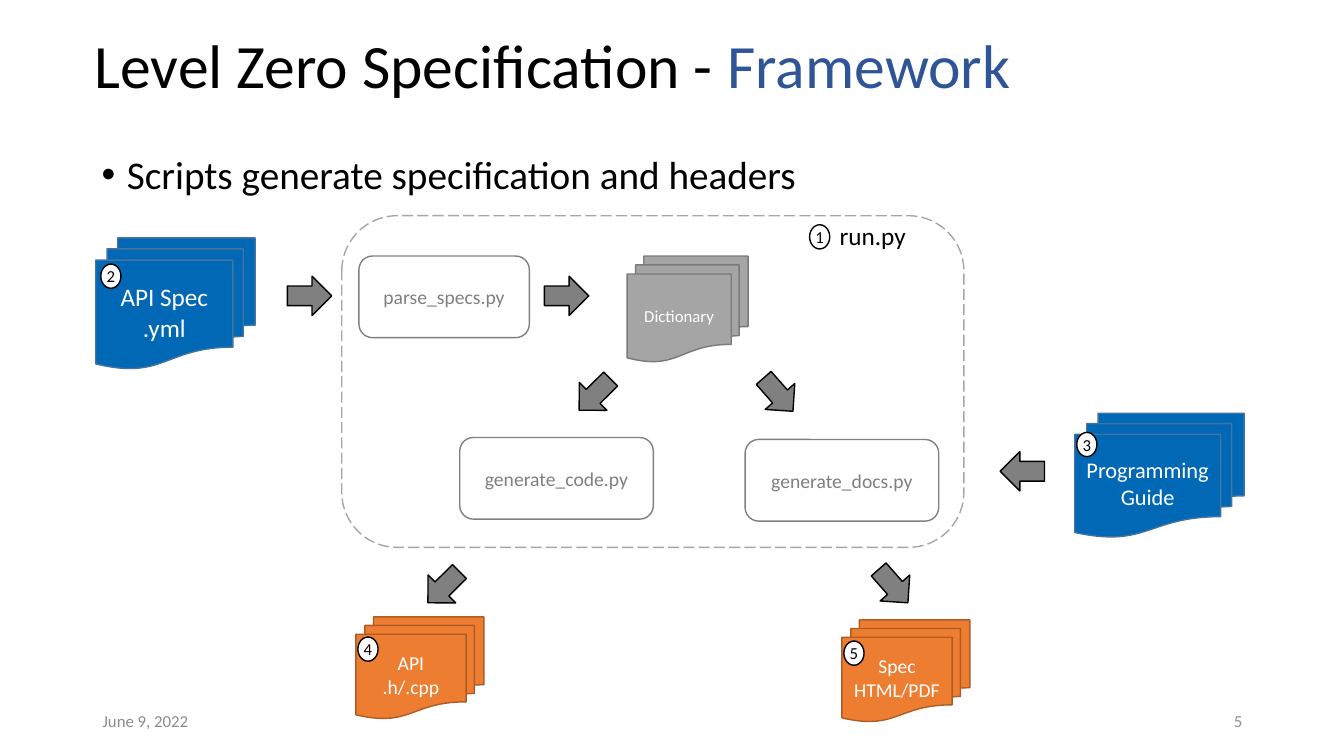
from pptx import Presentation
from pptx import util as u
from pptx.dml.color import RGBColor
from pptx.enum import dml, shapes, text
from pptx.oxml import parse_xml
from pptx.oxml.ns import nsdecls

SHAPE = shapes.MSO_SHAPE
ALIGN = text.PP_ALIGN
COLORS = {
    "black": "000000", "white": "FFFFFF", "accent": "2F5597", "footer": "8C8C8C",
    "gray": "808080", "frame": "A6A6A6",
    "dictionary": "A5A5A5", "dictionary_line": "7A7A7A",
    "input": "0068B5", "input_line": "43739E",
    "output": "ED7D31", "output_line": "AF5C24",
}


class FrameworkSlide:
    """Holds the style and the current slide, and draws each kind of element."""

    font = "Calibri"

    def __init__(self, presentation):
        self.slide = presentation.slides.add_slide(presentation.slide_layouts[6])

    def color(self, name):
        return RGBColor.from_string(COLORS[name])

    def style_run(self, run, size, color):
        run.font.name = self.font
        run.font.size = u.Pt(size)
        run.font.color.rgb = self.color(color)

    def set_text(self, shape, content, size, color, align=ALIGN.CENTER,
                 anchor=text.MSO_ANCHOR.MIDDLE, wrap=True):
        frame = shape.text_frame
        frame.text = content
        frame.word_wrap = wrap
        frame.vertical_anchor = anchor
        for paragraph in frame.paragraphs:
            paragraph.alignment = align
            for run in paragraph.runs:
                self.style_run(run, size, color)
        return frame

    def label(self, box, content, size, color="black", align=ALIGN.LEFT,
              anchor=text.MSO_ANCHOR.MIDDLE, wrap=True):
        shape = self.slide.shapes.add_textbox(*map(u.Inches, box))
        return self.set_text(shape, content, size, color, align, anchor, wrap)

    def title(self, content, highlight):
        paragraph = self.label((0.84, 0.25, 11.5, 0.86), content, 44).paragraphs[0]
        paragraph.line_spacing = 0.9
        run = paragraph.add_run()
        run.text = highlight
        self.style_run(run, 44, "accent")

    def bullet(self, content):
        frame = self.label((0.91, 1.49, 11.5, 5.07), content, 28,
                           anchor=text.MSO_ANCHOR.TOP)
        paragraph = frame.paragraphs[0]
        paragraph.line_spacing = 0.9
        paragraph.space_before = u.Pt(10)
        properties = paragraph._p.get_or_add_pPr()
        properties.set("marL", str(u.Inches(0.25)))
        properties.set("indent", str(-u.Inches(0.25)))
        for xml in ('<a:buFont %s typeface="Arial"/>', '<a:buChar %s char="•"/>'):
            properties.append(parse_xml(xml % nsdecls("a")))

    def shape(self, kind, box, line, fill=None):
        shape = self.slide.shapes.add_shape(kind, *map(u.Inches, box))
        shape.shadow.inherit = False
        shape.line.color.rgb = self.color(line)
        shape.line.width = u.Pt(1)
        if fill:
            shape.fill.solid()
            shape.fill.fore_color.rgb = self.color(fill)
        else:
            shape.fill.background()
        return shape

    def container(self, box):
        shape = self.shape(SHAPE.ROUNDED_RECTANGLE, box, "frame")
        shape.line.dash_style = dml.MSO_LINE.LONG_DASH

    def script(self, left, top, width, name):
        box = (left, top, width, 0.81)
        shape = self.shape(SHAPE.ROUNDED_RECTANGLE, box, "gray")
        self.set_text(shape, name, 14, "gray")

    def documents(self, box, content, size, style):
        shape = self.shape(SHAPE.FLOWCHART_MULTIDOCUMENT, box, style + "_line", style)
        frame = self.set_text(shape, content, size, "white")
        frame.margin_left = frame.margin_right = u.Inches(0.05)

    def arrow(self, left, top, rotation):
        shape = self.shape(SHAPE.RIGHT_ARROW, (left, top, 0.44, 0.39), "black", "gray")
        shape.rotation = rotation

    def badge(self, number, left, top):
        shape = self.shape(SHAPE.OVAL, (left, top, 0.2, 0.24), "black", "white")
        frame = self.set_text(shape, str(number), 12, "black", wrap=False)
        frame.margin_left = frame.margin_right = 0
        frame.margin_top = frame.margin_bottom = 0


def main():
    presentation = Presentation()
    presentation.slide_width = u.Inches(13.33)
    presentation.slide_height = u.Inches(7.5)
    slide = FrameworkSlide(presentation)

    slide.title("Level Zero Specification - ", "Framework")
    slide.bullet("Scripts generate specification and headers")
    slide.label((0.92, 6.95, 3, 0.4), "June 9, 2022", 12, "footer")
    slide.label((9.42, 6.95, 3, 0.4), "5", 12, "footer", ALIGN.RIGHT)

    slide.container((3.39, 2.14, 6.17, 3.29))
    slide.label((8.23, 2.14, 0.87, 0.4), "run.py", 18,
                anchor=text.MSO_ANCHOR.TOP, wrap=False)

    for left, top, width, name in (
        (3.56, 2.54, 1.69, "parse_specs.py"),
        (4.56, 4.34, 1.92, "generate_code.py"),
        (7.39, 4.36, 1.92, "generate_docs.py"),
    ):
        slide.script(left, top, width, name)

    right, down_right, down_left, left_turn = 0, 48.8, 135.3, 180
    for left, top, rotation in (
        (2.85, 2.74, right), (5.4, 2.74, right),
        (5.68, 3.72, down_left), (7.5, 3.72, down_right),
        (4.18, 5.63, down_left), (8.64, 5.62, down_right),
        (9.92, 4.48, left_turn),
    ):
        slide.arrow(left, top, rotation)

    for box, content, size, style in (
        ((6.22, 2.54, 1.2, 1.05), "Dictionary", 12, "dictionary"),
        ((0.95, 2.36, 1.58, 1.3), "API Spec\n.yml", 18, "input"),
        ((10.66, 4.1, 1.68, 1.23), "Programming\nGuide", 16, "input"),
        ((3.53, 6.12, 1.27, 1.01), "API\n.h/.cpp", 14, "output"),
        ((8.35, 6.15, 1.27, 1.01), "Spec\nHTML/PDF", 14, "output"),
    ):
        slide.documents(box, content, size, style)

    badges = ((8.03, 2.23), (1, 2.62), (10.68, 4.29), (3.55, 6.32), (8.37, 6.36))
    for number, (left, top) in enumerate(badges, start=1):
        slide.badge(number, left, top)

    presentation.save("out.pptx")


if __name__ == "__main__":
    main()
